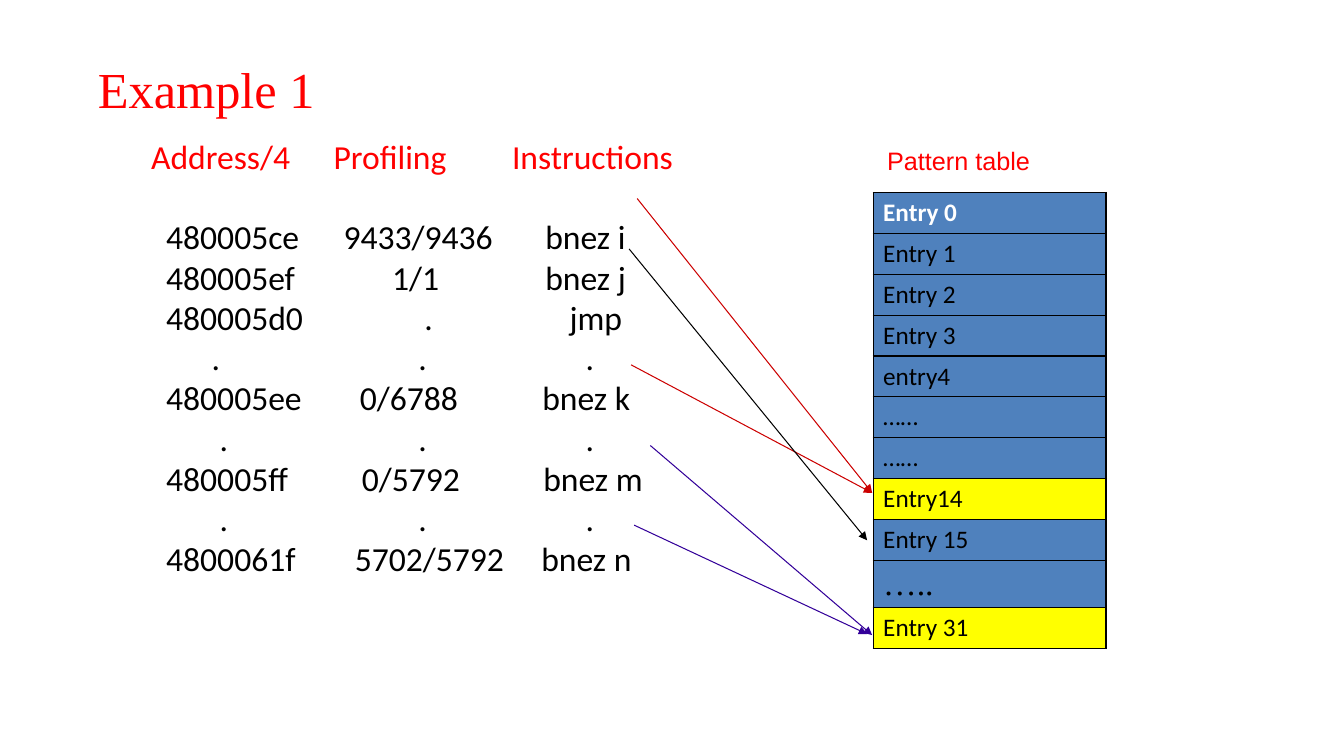
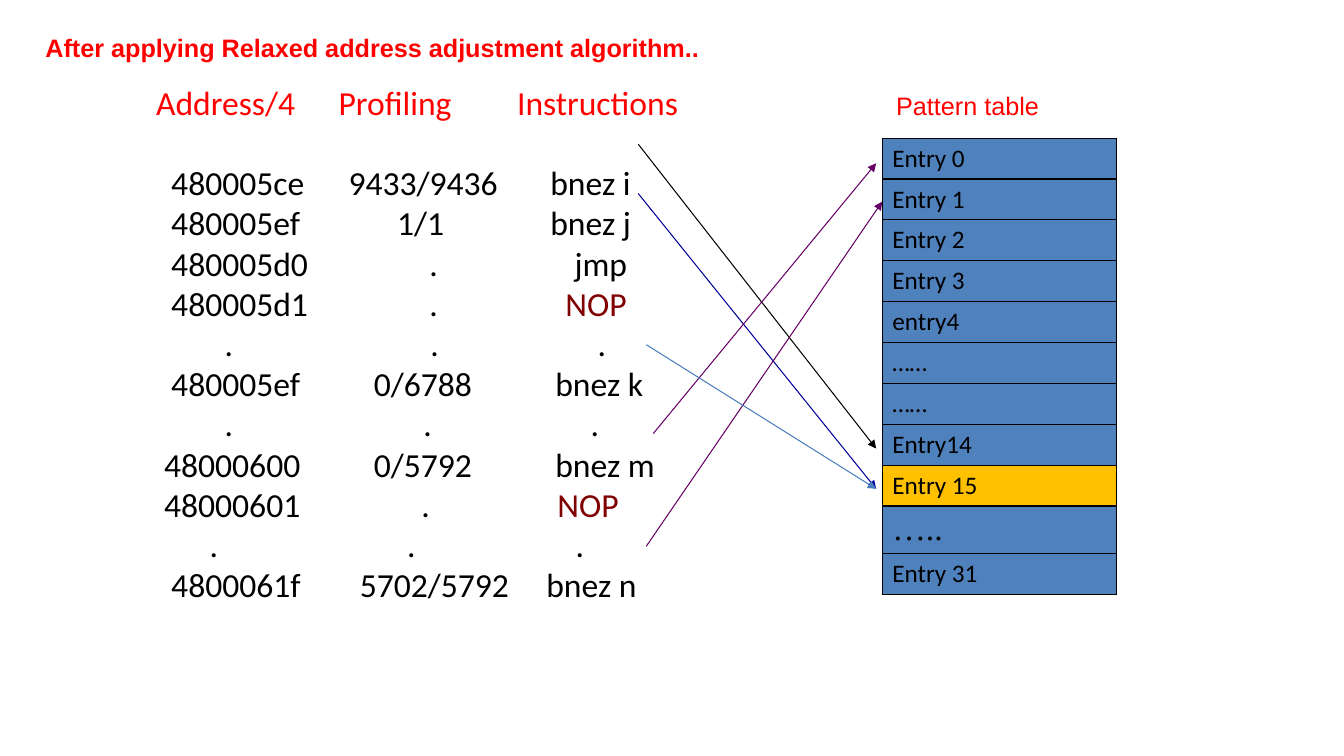
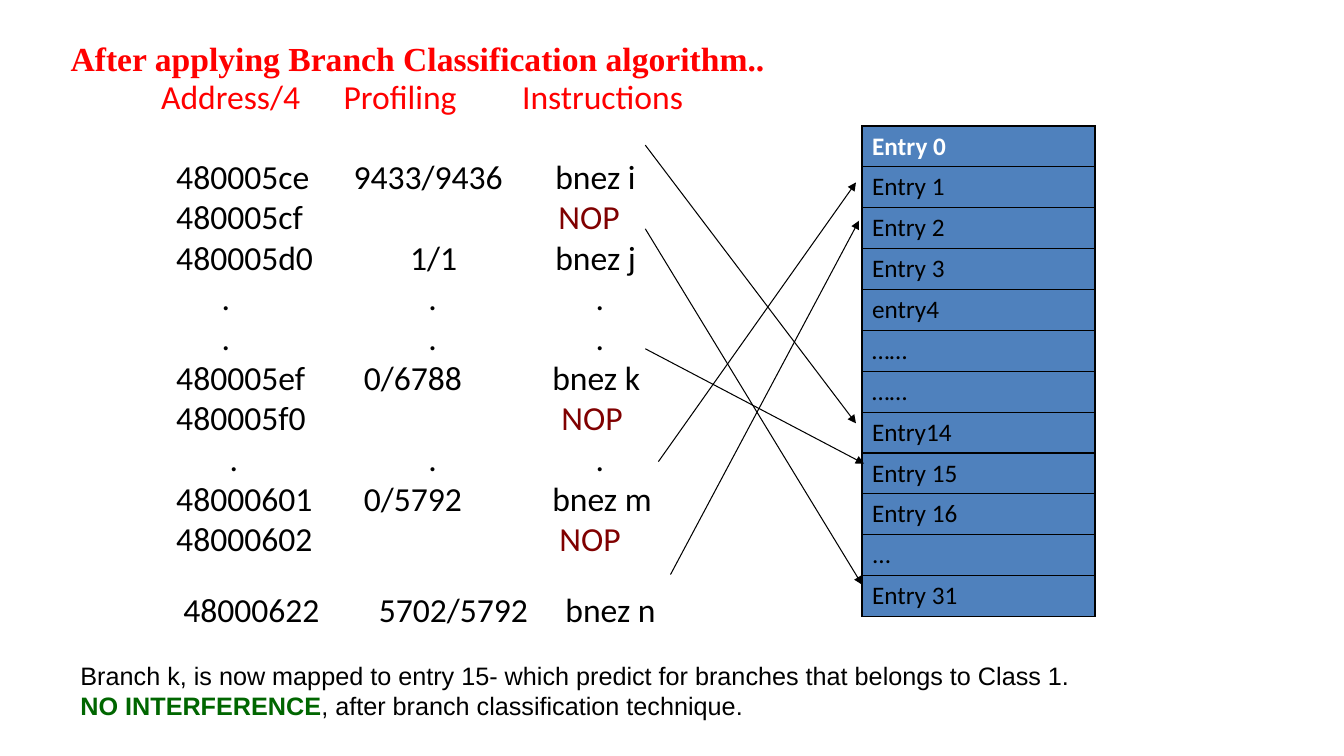
from lxml.etree import SubElement
from pptx import Presentation
from pptx.dml.color import RGBColor
from pptx.enum.shapes import MSO_CONNECTOR
from pptx.enum.text import MSO_ANCHOR, MSO_AUTO_SIZE, PP_ALIGN
from pptx.oxml.ns import qn
from pptx.util import Inches, Pt

RED, BLACK, WHITE, MAROON, GREEN = "FF0000", "000000", "FFFFFF", "800000", "006600"
BLUE, YELLOW, AMBER = "4F81BD", "FFFF00", "FFC000"
INDIGO, CRIMSON, NAVY, PURPLE, STEEL = "330099", "CC0000", "000099", "660066", "4B7EBC"
SERIF, SANS, LIGHT = "Times New Roman", "Arial", "Calibri"

LINE_PITCH = 28.75
ROW_HEIGHT, DOTS_HEIGHT = 0.4, 0.47
WIDE_DOTS = "….."
FIRST_ENTRIES = ["Entry 0", "Entry 1", "Entry 2", "Entry 3", "entry4", "……", "……", "Entry14", "Entry 15"]
SHORT_TABLE = FIRST_ENTRIES + [WIDE_DOTS, "Entry 31"]
LONG_TABLE = FIRST_ENTRIES + ["Entry 16", "...", "Entry 31"]

HEADING = [(0, "Address/4"), (1.81, "Profiling"), (3.58, "Instructions")]
BRANCH_I = [(0.15, "480005ce"), (1.91, "9433/9436"), (3.91, "bnez i")]
BRANCH_J = [(0.15, "480005ef"), (2.39, "1/1"), (3.91, "bnez j")]
BRANCH_N = [(0.15, "4800061f"), (2.02, "5702/5792"), (3.87, "bnez n")]
JUMP = [(0.15, "480005d0"), (2.71, "."), (4.15, "jmp")]
DOTS = [(0.6, "."), (2.65, "."), (4.31, ".")]
DOTS_INSET = [(0.68, "."), (2.65, "."), (4.31, ".")]

ORIGINAL_CODE = [
    BRANCH_I, BRANCH_J, JUMP, DOTS,
    [(0.15, "480005ee"), (2.07, "0/6788"), (3.88, "bnez k")],
    DOTS_INSET,
    [(0.15, "480005ff"), (2.09, "0/5792"), (3.89, "bnez m")],
    DOTS_INSET, BRANCH_N,
]
RELAXED_CODE = [
    BRANCH_I, BRANCH_J, JUMP,
    [(0.15, "480005d1"), (2.71, "."), (4.06, "NOP")],
    [(0.68, "."), (2.72, "."), (4.38, ".")],
    [(0.15, "480005ef"), (2.16, "0/6788"), (3.96, "bnez k")],
    DOTS_INSET,
    [(0.08, "48000600"), (2.16, "0/5792"), (3.96, "bnez m")],
    [(0.08, "48000601"), (2.63, "."), (3.98, "NOP")],
    [(0.53, "."), (2.49, "."), (4.16, ".")],
    BRANCH_N,
]
CLASSIFIED_CODE = [
    BRANCH_I,
    [(0.15, "480005cf"), (3.94, "NOP")],
    [(0.15, "480005d0"), (2.47, "1/1"), (3.91, "bnez j")],
    DOTS, DOTS,
    [(0.15, "480005ef"), (2.01, "0/6788"), (3.88, "bnez k")],
    [(0.15, "480005f0"), (3.97, "NOP")],
    DOTS_INSET,
    [(0.15, "48000601"), (2.01, "0/5792"), (3.88, "bnez m")],
    [(0.15, "48000602"), (3.95, "NOP")],
    [(0.22, "48000622"), (2.16, "5702/5792"), (4.01, "bnez n")],
]


def color(hex_code):
    """Turn a hex string into a colour."""
    return RGBColor.from_string(hex_code)


def style(font, name, size, hex_code, bold=False):
    """Set the face, size, colour and weight of a font."""
    font.name, font.size, font.bold = name, Pt(size), bold
    font.color.rgb = color(hex_code)


def add_page(deck, title, left, top, width, height, name, size, bold):
    """Add a slide with a red title at the given place."""
    page = deck.slides.add_slide(deck.slide_layouts[5])
    box = page.shapes.title
    box.left, box.top, box.width, box.height = map(Inches, (left, top, width, height))
    frame = box.text_frame
    frame.text = title
    frame.vertical_anchor = MSO_ANCHOR.TOP
    frame.auto_size = MSO_AUTO_SIZE.NONE
    para = frame.paragraphs[0]
    para.alignment = PP_ALIGN.LEFT
    style(para.font, name, size, RED, bold)
    return page


def add_text_box(page, left, top, width, height):
    """Add an empty wrapping text box and return its frame."""
    frame = page.shapes.add_textbox(*map(Inches, (left, top, width, height))).text_frame
    frame.word_wrap = True
    return frame


def set_tabs(para, stops):
    """Give a paragraph left tab stops, in inches."""
    tab_list = SubElement(para._p.get_or_add_pPr(), qn("a:tabLst"))
    for stop in stops:
        SubElement(tab_list, qn("a:tab"), pos=str(Inches(stop)), algn="l")


def add_listing(page, left, top, width, height, rows, last_gap=0):
    """Write the code listing, each cell starting at its own tab stop."""
    frame = add_text_box(page, left, top, width, height)
    gaps = {1: LINE_PITCH, len(rows): last_gap}
    for index, row in enumerate([HEADING] + rows):
        para = frame.add_paragraph() if index else frame.paragraphs[0]
        set_tabs(para, [stop for stop, text in row if stop])
        para.line_spacing = Pt(LINE_PITCH)
        para.space_before = Pt(gaps.get(index, 0))
        style(para.font, LIGHT, 24, BLACK if index else RED)
        for stop, text in row:
            span = para.add_run()
            span.text = "\t" + text if stop else text
            if text == "NOP":
                span.font.color.rgb = color(MAROON)


def set_borders(cell):
    """Draw a thin black line on each side of a cell."""
    properties = cell._tc.get_or_add_tcPr()
    for index, side in enumerate(("a:lnL", "a:lnR", "a:lnT", "a:lnB")):
        line = properties.makeelement(qn(side), {"w": str(Pt(1))})
        fill = SubElement(line, qn("a:solidFill"))
        SubElement(fill, qn("a:srgbClr"), val=BLACK)
        properties.insert(index, line)


def add_pattern_table(page, left, top, width, entries, marked=(), mark=BLUE, header=True):
    """Add the one-column table of predictor entries."""
    heights = [DOTS_HEIGHT if entry == WIDE_DOTS else ROW_HEIGHT for entry in entries]
    frame = page.shapes.add_table(len(entries), 1, *map(Inches, (left, top, width, sum(heights))))
    table = frame.table
    table.first_row = header
    table.horz_banding = False
    for index, entry in enumerate(entries):
        table.rows[index].height = Inches(heights[index])
        cell = table.cell(index, 0)
        cell.text = entry
        cell.fill.solid()
        cell.fill.fore_color.rgb = color(mark if entry in marked else BLUE)
        set_borders(cell)
        heading = header and index == 0
        name, size = (SERIF, 24) if entry == WIDE_DOTS else (LIGHT, 18)
        style(cell.text_frame.paragraphs[0].font, name, size, WHITE if heading else BLACK, heading)


def add_table_label(page, table_left, table_top):
    """Write the caption above the pattern table."""
    frame = add_text_box(page, table_left + 0.04, table_top - 0.52, 2.1, 0.38)
    frame.text = "Pattern table"
    style(frame.paragraphs[0].font, SANS, 18, RED)


def add_arrows(page, arrows):
    """Draw thin arrows given as colour, start and end."""
    for hex_code, start, end in arrows:
        arrow = page.shapes.add_connector(MSO_CONNECTOR.STRAIGHT, *map(Inches, start + end))
        arrow.line.width = Pt(0.75)
        arrow.line.color.rgb = color(hex_code)
        SubElement(arrow.line._get_or_add_ln(), qn("a:tailEnd"), type="triangle")
        SubElement(arrow._element.spPr, qn("a:effectLst"))


def add_conclusion(page):
    """Write the closing remark below the listing."""
    frame = add_text_box(page, 0.7, 6.5, 11.4, 0.94)
    frame.text = "Branch k, is now mapped to entry 15- which predict for branches that belongs to Class 1."
    style(frame.paragraphs[0].font, SANS, 18, BLACK)
    para = frame.add_paragraph()
    for text, hex_code, bold in (("NO INTERFERENCE", GREEN, True),
                                 (", after branch classification technique.", BLACK, False)):
        span = para.add_run()
        span.text = text
        style(span.font, SANS, 18, hex_code, bold)


def add_example(deck):
    """Build the slide with the unchanged code."""
    page = add_page(deck, "Example 1", 0.87, 0.53, 6.3, 0.53, SERIF, 36, False)
    add_pattern_table(page, 8.66, 1.91, 2.31, SHORT_TABLE, ("Entry14", "Entry 31"), YELLOW)
    add_table_label(page, 8.66, 1.91)
    add_listing(page, 1.4, 1.3, 5.75, 4.93, ORIGINAL_CODE)
    add_arrows(page, [
        (INDIGO, (6.45, 4.42), (8.65, 6.3)),
        (INDIGO, (6.29, 5.21), (8.6, 6.29)),
        (CRIMSON, (6.32, 1.97), (8.65, 4.89)),
        (CRIMSON, (6.26, 3.62), (8.65, 4.89)),
        (BLACK, (6.24, 2.47), (8.6, 5.36)),
    ])


def add_relaxed(deck):
    """Build the slide on relaxed address adjustment."""
    page = add_page(deck, "After applying Relaxed address adjustment algorithm..",
                    0.35, 0.27, 8.9, 0.38, SANS, 18, True)
    add_pattern_table(page, 8.75, 1.37, 2.32, SHORT_TABLE, ("Entry 15",), AMBER, header=False)
    add_table_label(page, 8.75, 1.37)
    add_listing(page, 1.45, 0.76, 5.78, 4.97, RELAXED_CODE)
    add_arrows(page, [
        (NAVY, (6.33, 1.92), (8.69, 4.85)),
        (BLACK, (6.33, 1.43), (8.69, 4.45)),
        (PURPLE, (6.48, 4.3), (8.69, 1.62)),
        (PURPLE, (6.41, 5.42), (8.75, 2)),
        (STEEL, (6.41, 3.42), (8.69, 4.85)),
    ])


def add_classified(deck):
    """Build the slide on branch classification."""
    page = add_page(deck, "After applying Branch Classification algorithm..",
                    0.6, 0.33, 8, 0.66, SERIF, 24, True)
    add_pattern_table(page, 8.55, 1.25, 2.31, LONG_TABLE)
    add_listing(page, 1.5, 0.7, 5.64, 5.42, CLASSIFIED_CODE, last_gap=22)
    add_arrows(page, [
        (BLACK, (6.53, 4.58), (8.49, 1.81)),
        (BLACK, (6.65, 5.7), (8.52, 2.19)),
        (BLACK, (6.4, 3.46), (8.57, 4.6)),
        (BLACK, (6.4, 1.44), (8.49, 4.2)),
        (BLACK, (6.4, 2.27), (8.55, 5.8)),
    ])
    add_conclusion(page)


def main():
    """Build and save the three slides."""
    deck = Presentation()
    deck.slide_width, deck.slide_height = Inches(13.33), Inches(7.5)
    add_example(deck)
    add_relaxed(deck)
    add_classified(deck)
    deck.save("out.pptx")


if __name__ == "__main__":
    main()
